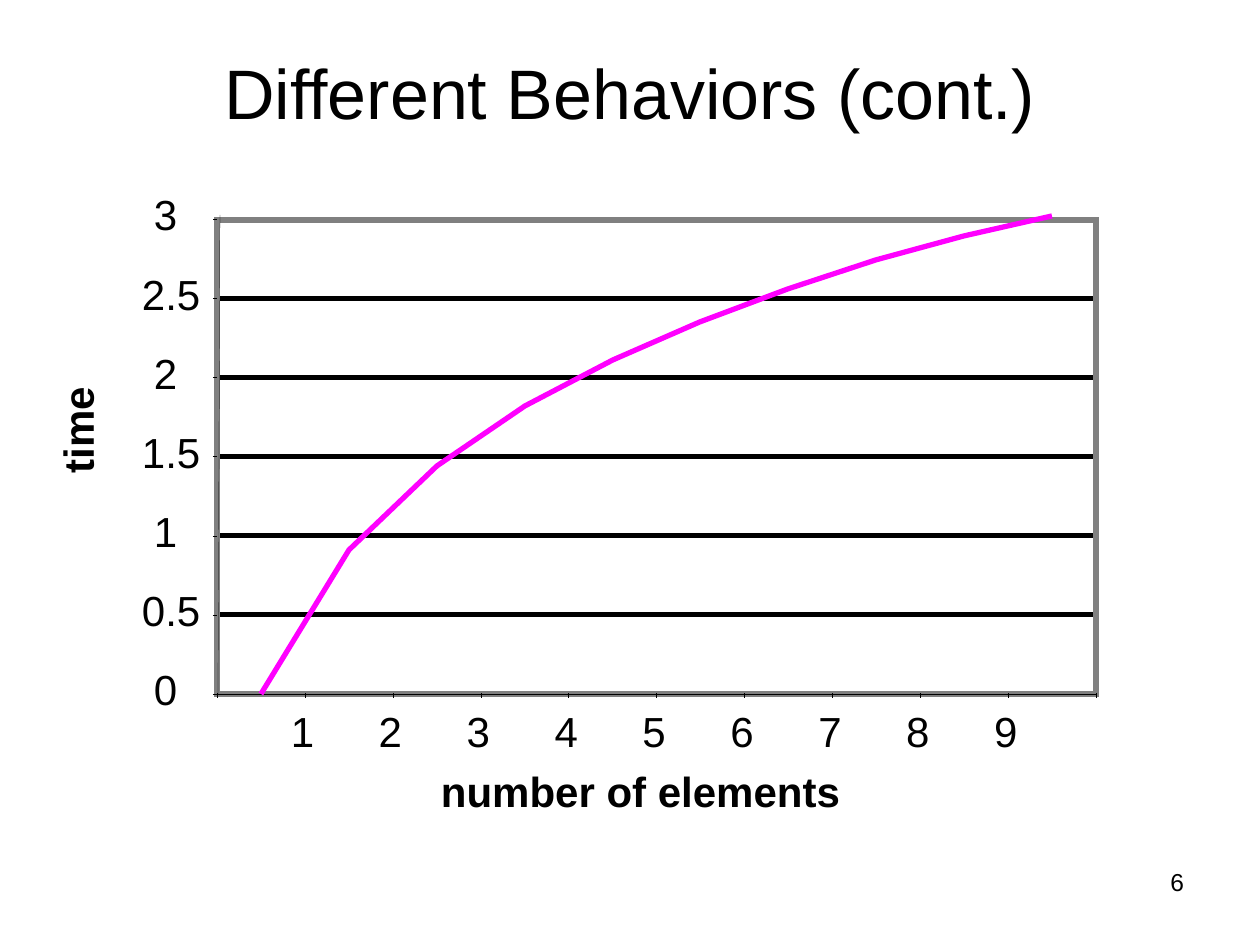
from lxml import etree
from pptx import Presentation, util as u
from pptx.dml.color import RGBColor
from pptx.enum import shapes, text
from pptx.oxml.ns import qn

PX = u.Inches(1) / 126
FONT = "Arial"
BLACK, GRAY, MAGENTA = "000000", "808080", "FF00FF"
HAIRLINE, HEAVY = 0.1, 3
TIMES = [0, 0.91, 1.44, 1.82, 2.11, 2.35, 2.56, 2.74, 2.89, 3.02]
TIME_STEPS = 6
TIME_PER_STEP = 0.5


def px(length):
    return u.Emu(round(length * PX))


def color(hex_code):
    return RGBColor.from_string(hex_code)


def add_label(slide, box, wording, size, bold=False, align=text.PP_ALIGN.LEFT,
              anchor=text.MSO_ANCHOR.TOP, padding=(0, 0), wrap=False):
    label = slide.shapes.add_textbox(*map(px, box))
    frame = label.text_frame
    frame.word_wrap = wrap
    frame.auto_size = text.MSO_AUTO_SIZE.NONE if wrap else text.MSO_AUTO_SIZE.SHAPE_TO_FIT_TEXT
    frame.vertical_anchor = anchor
    frame.margin_left = frame.margin_right = px(padding[0])
    frame.margin_top = frame.margin_bottom = px(padding[1])
    paragraph = frame.paragraphs[0]
    paragraph.alignment = align
    run = paragraph.add_run()
    run.text = wording
    run.font.name = FONT
    run.font.size = u.Pt(size)
    run.font.bold = bold
    run.font.color.rgb = color(BLACK)
    return label


def set_outline(shape, hex_code, width):
    shape.line.color.rgb = color(hex_code)
    shape.line.width = u.Pt(width)
    outline = shape._element.spPr.find(qn("a:ln"))
    etree.SubElement(outline, qn("a:miter"), lim="800000")


def add_line(slide, x1, y1, x2, y2, width):
    line = slide.shapes.add_connector(shapes.MSO_CONNECTOR.STRAIGHT, *map(px, (x1, y1, x2, y2)))
    set_outline(line, BLACK, width)
    etree.SubElement(line._element.spPr, qn("a:effectLst"))


def add_plot(slide, box):
    left, top, width, height = box
    right, bottom = left + width, top + height
    row = height / TIME_STEPS
    column = width / len(TIMES)

    for step in range(1, TIME_STEPS):
        y = bottom - step * row
        add_line(slide, left, y, right, y, HEAVY)

    border = slide.shapes.add_shape(shapes.MSO_SHAPE.RECTANGLE, *map(px, (left, top + 1, width, height - 1)))
    border.shadow.inherit = False
    border.fill.background()
    set_outline(border, GRAY, HEAVY)

    add_line(slide, left + 3, top - 4, left + 1, bottom, HAIRLINE)
    for step in range(TIME_STEPS + 1):
        y = bottom - step * row
        add_line(slide, left - 4, y, left, y, HAIRLINE)
    add_line(slide, left, bottom, right, bottom, HAIRLINE)
    for count in range(len(TIMES) + 1):
        x = left + count * column
        add_line(slide, x, bottom + 4, x, bottom - 1, HAIRLINE)

    points = [(left + (i + 0.5) * column, bottom - time / TIME_PER_STEP * row)
              for i, time in enumerate(TIMES)]
    builder = slide.shapes.build_freeform(*points[0], scale=PX)
    builder.add_line_segments(points[1:], close=False)
    curve = builder.convert_to_shape()
    curve.shadow.inherit = False
    curve.fill.background()
    set_outline(curve, MAGENTA, HEAVY)

    for step in range(TIME_STEPS + 1):
        wording = f"{step * TIME_PER_STEP:g}"
        indent, label_width = (75, 60) if "." in wording else (63, 24)
        add_label(slide, (left - indent, bottom - step * row - 30, label_width, 50), wording, 24)
    for count in range(1, len(TIMES)):
        add_label(slide, (left + count * column - 14, bottom + 12, 24, 50), str(count), 24)

    add_label(slide, (left + 224, bottom + 72, 404, 50), "number of elements", 24, bold=True)
    time_title = add_label(slide, (left - 184, top + 185, 88, 50), "time", 24, bold=True)
    time_title.rotation = 270


def add_title(slide, box):
    add_label(slide, box, "Different Behaviors (cont.)", 40, align=text.PP_ALIGN.CENTER,
              anchor=text.MSO_ANCHOR.MIDDLE, padding=(13, 6), wrap=True)


def add_page_number(slide, box):
    add_label(slide, box, "6", 14, align=text.PP_ALIGN.RIGHT, padding=(13, 6), wrap=True)


def main():
    deck = Presentation()
    deck.slide_width, deck.slide_height = px(1260), px(945)
    slide = deck.slides.add_slide(deck.slide_layouts[6])
    add_page_number(slide, (903, 861, 294, 66))
    add_title(slide, (63, 32, 1134, 120))
    add_plot(slide, (217, 219, 879, 475))
    deck.save("out.pptx")


if __name__ == "__main__":
    main()
